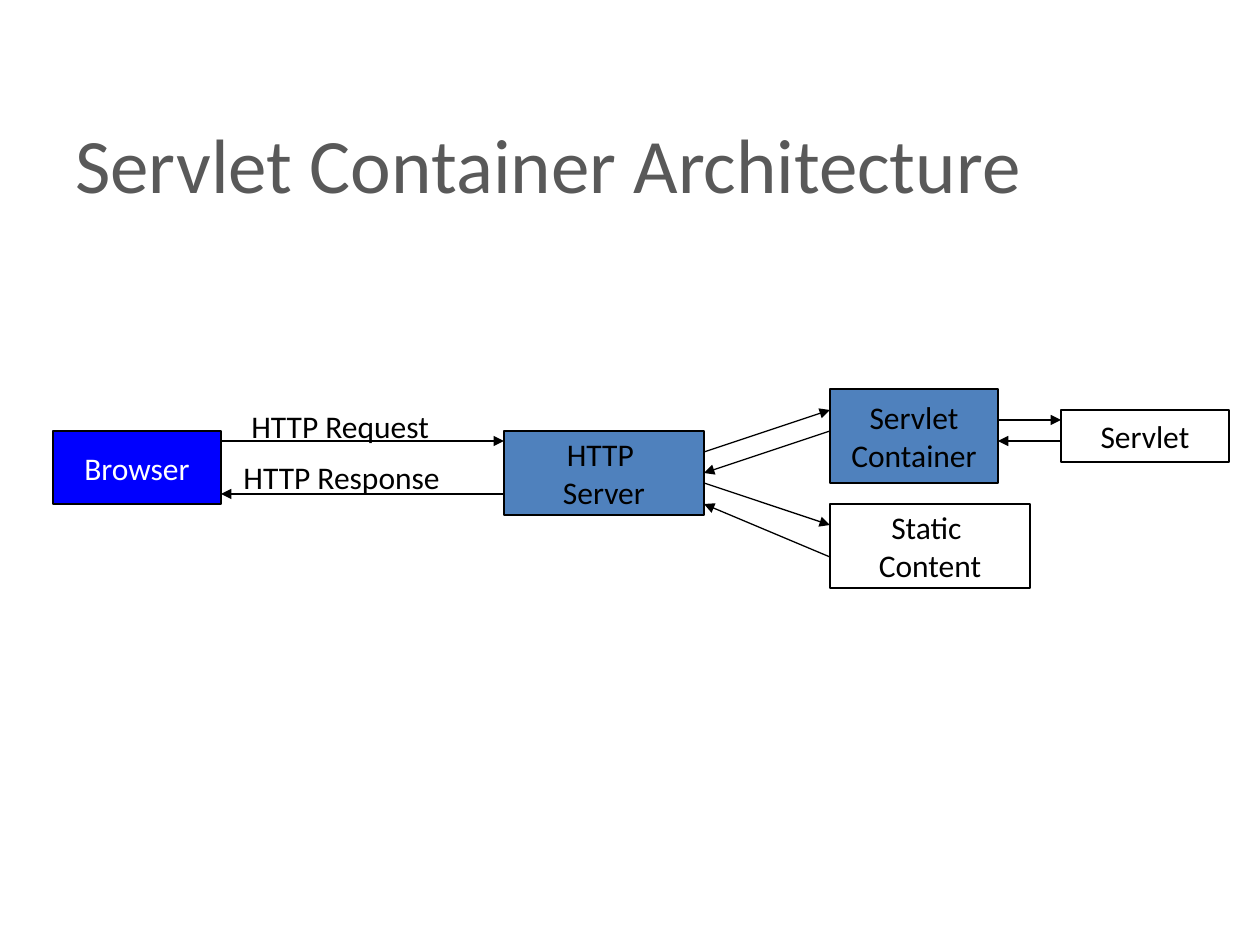
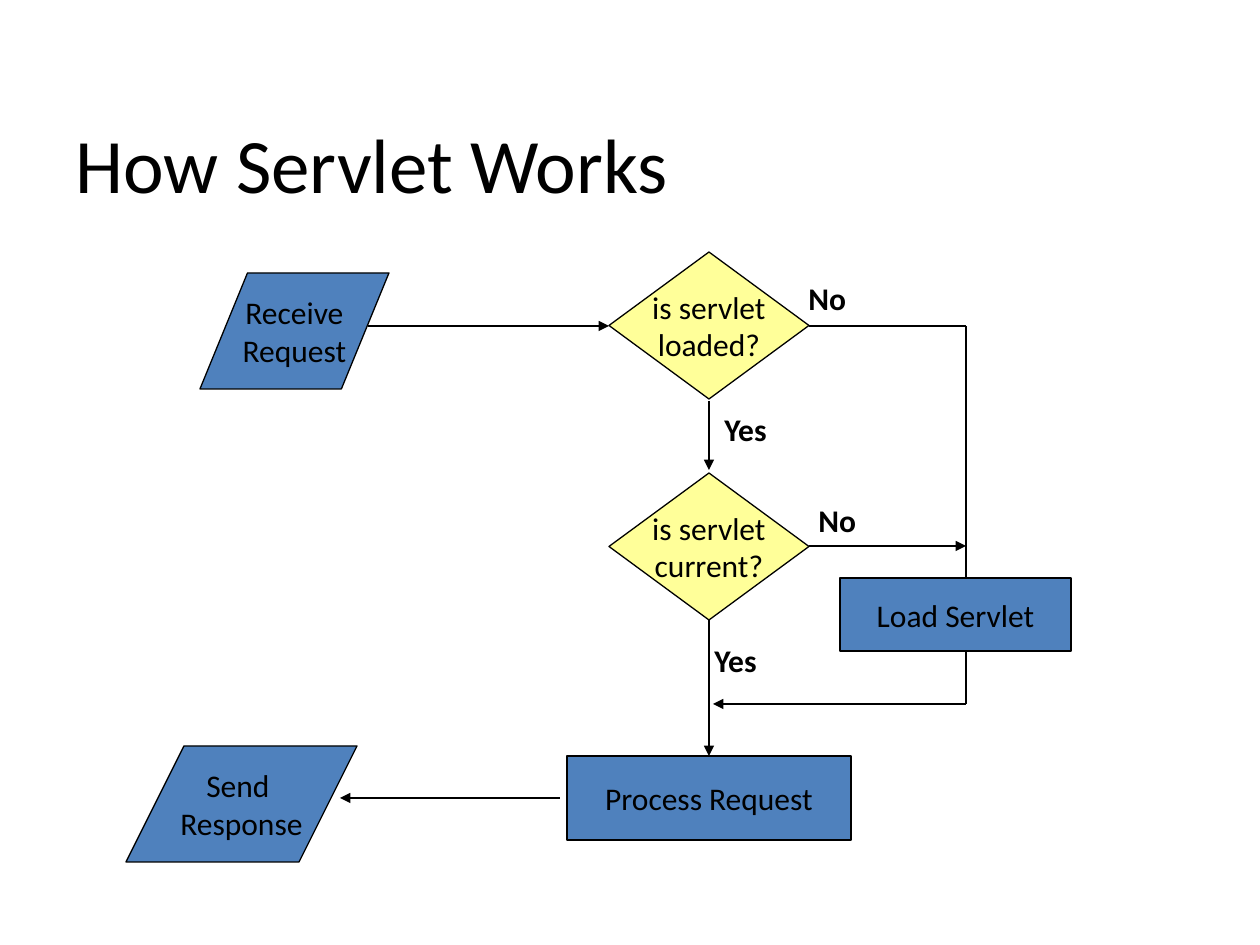
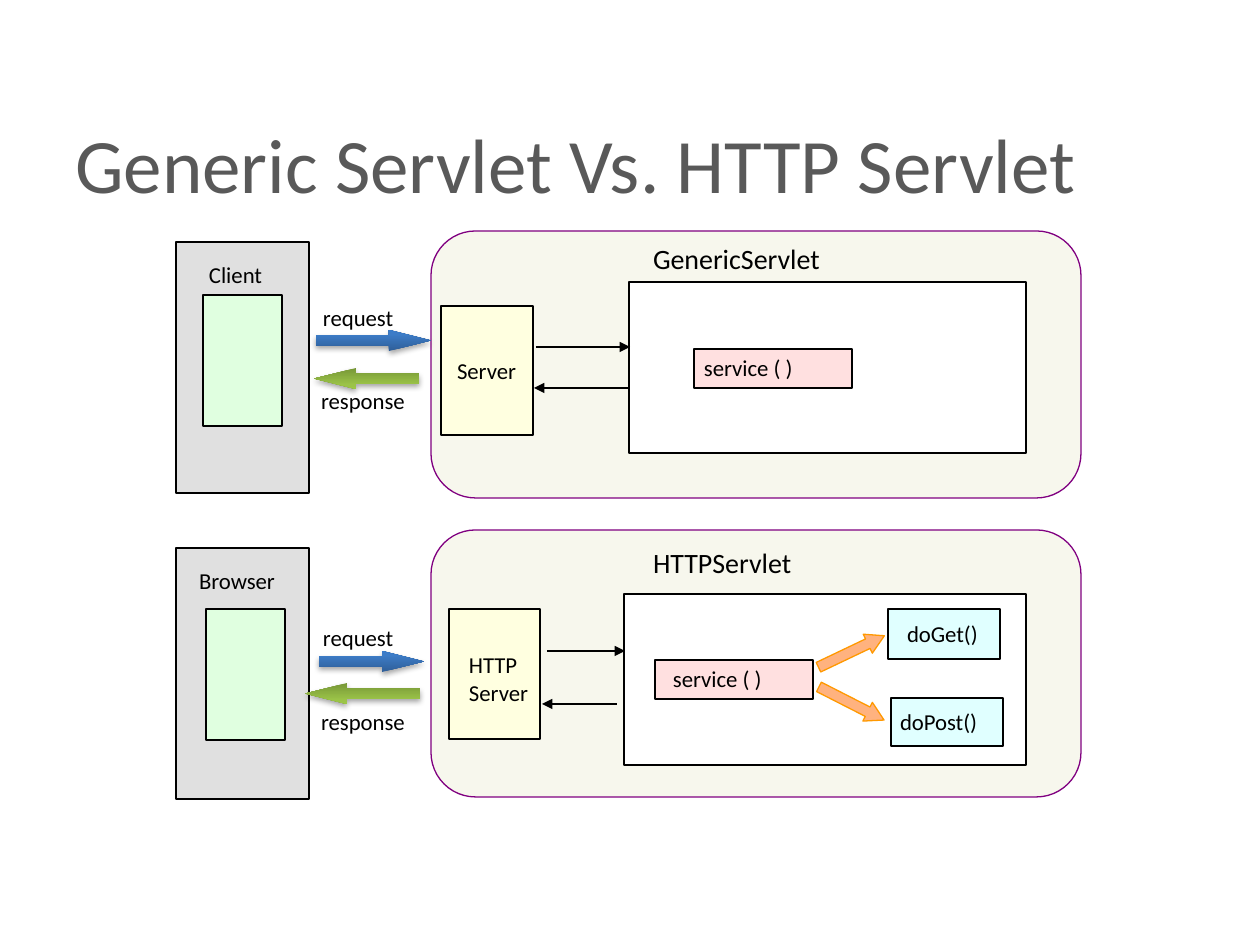
from lxml import etree
from pptx import Presentation
from pptx.dml.color import RGBColor
from pptx.enum.shapes import MSO_CONNECTOR, MSO_SHAPE
from pptx.enum.text import MSO_ANCHOR, PP_ALIGN
from pptx.oxml.ns import qn
from pptx.util import Emu, Pt

PX_PER_INCH = 126
SLIDE_WIDTH, SLIDE_HEIGHT = 1260, 945
FONT = "Calibri"

BLACK, WHITE, GREY = "000000", "FFFFFF", "595959"
BLUE, STEEL, YELLOW = "0000FF", "4F81BD", "FFFF99"
CREAM, PURPLE = "F7F7ED", "800080"
PANEL_GREY, PALE_YELLOW, PALE_GREEN = "E0E0E0", "FFFFE0", "E0FFE0"
PALE_RED, PALE_CYAN = "FFE0E0", "E0FFFF"
ORANGE, AMBER = "FF6600", "FF9900"
REQUEST_STOPS = [(0, "2F5F99"), (80, "3D7CC7"), (100, "3A7CCB")]
RESPONSE_STOPS = [(0, "779737"), (80, "9BC348"), (100, "9DC746")]

RECTANGLE = MSO_SHAPE.RECTANGLE
DIAMOND = MSO_SHAPE.DIAMOND
PARALLELOGRAM = MSO_SHAPE.PARALLELOGRAM
ROUNDED = MSO_SHAPE.FLOWCHART_ALTERNATE_PROCESS
RIGHT_ARROW = MSO_SHAPE.RIGHT_ARROW
STRAIGHT = MSO_CONNECTOR.STRAIGHT
LEFT, CENTER = PP_ALIGN.LEFT, PP_ALIGN.CENTER
TOP, MIDDLE = MSO_ANCHOR.TOP, MSO_ANCHOR.MIDDLE


def px(length):
    return Emu(round(length * 914400 / PX_PER_INCH))


def rgb(color):
    return RGBColor.from_string(color)


def write_text(shape, text, size=18, color=BLACK, bold=False, align=LEFT,
               anchor=TOP, wrap=False, inset=None):
    """Put one paragraph per line of text into the shape."""
    frame = shape.text_frame
    frame.word_wrap = wrap
    frame.vertical_anchor = anchor
    if inset is not None:
        frame.margin_left = frame.margin_right = px(inset)
        frame.margin_top = frame.margin_bottom = px(inset)
    for index, line in enumerate(text.split("\n")):
        paragraph = frame.paragraphs[0] if index == 0 else frame.add_paragraph()
        paragraph.alignment = align
        run = paragraph.add_run()
        run.text = line
        run.font.name = FONT
        run.font.size = Pt(size)
        run.font.bold = bold
        run.font.color.rgb = rgb(color)


def add_label(slide, text, left, top, width, height, **text_format):
    box = slide.shapes.add_textbox(px(left), px(top), px(width), px(height))
    write_text(box, text, **text_format)


def add_title(slide, text, color=GREY):
    add_label(slide, text, 63, 84, 1134, 158, size=44, color=color,
              anchor=MIDDLE, wrap=True)


def add_box(slide, kind, left, top, width, height, fill=None, line=BLACK,
            weight=0.75, text=None, text_color=BLACK, adjustments=()):
    shape = slide.shapes.add_shape(kind, px(left), px(top), px(width), px(height))
    shape.shadow.inherit = False
    for index, value in enumerate(adjustments):
        shape.adjustments[index] = value
    if fill:
        shape.fill.solid()
        shape.fill.fore_color.rgb = rgb(fill)
    else:
        shape.fill.background()
    if line:
        shape.line.color.rgb = rgb(line)
        shape.line.width = Pt(weight)
    else:
        shape.line.fill.background()
    if text:
        write_text(shape, text, color=text_color, align=CENTER, anchor=MIDDLE)
    return shape


def add_color(parent, color, alpha):
    """Append a colour element with an opacity in percent."""
    element = etree.SubElement(parent, qn("a:srgbClr"), val=color)
    etree.SubElement(element, qn("a:alpha"), val=str(alpha * 1000))


def add_message_arrow(slide, left, top, width, stops, rotation=0):
    """Add a thick arrow with a gradient and a soft shadow."""
    arrow = add_box(slide, RIGHT_ARROW, left, top, width, 21, line=None,
                    adjustments=(0.5, 2))
    arrow.rotation = rotation
    arrow.fill.gradient()
    arrow.fill.gradient_angle = 90
    properties = arrow._element.spPr
    stop_list = properties.find(qn("a:gradFill")).find(qn("a:gsLst"))
    for stop in list(stop_list):
        stop_list.remove(stop)
    for position, color in stops:
        stop = etree.SubElement(stop_list, qn("a:gs"), pos=str(position * 1000))
        etree.SubElement(stop, qn("a:srgbClr"), val=color)
    shadow = etree.SubElement(properties.find(qn("a:effectLst")), qn("a:outerShdw"),
                              blurRad="40000", dist="23000", dir="5400000",
                              rotWithShape="0")
    add_color(shadow, BLACK, 35)


def add_dispatch_arrow(slide, top, rotation):
    """Add a half-transparent arrow from service to a handler."""
    arrow = add_box(slide, RIGHT_ARROW, 815, top, 73, 21, fill=ORANGE, line=AMBER,
                    adjustments=(0.5, 0.875))
    arrow.rotation = rotation
    solid_fill = arrow._element.spPr.find(qn("a:solidFill"))
    solid_fill.remove(solid_fill[0])
    add_color(solid_fill, ORANGE, 50)


def add_line(slide, start_x, start_y, end_x, end_y, arrow=True):
    connector = slide.shapes.add_connector(STRAIGHT, px(start_x), px(start_y),
                                           px(end_x), px(end_y))
    connector.line.color.rgb = rgb(BLACK)
    connector.line.width = Pt(0.75)
    if arrow:
        etree.SubElement(connector.line._get_or_add_ln(), qn("a:tailEnd"),
                         type="triangle")
    etree.SubElement(connector._element.spPr, qn("a:effectLst"))


def draw_architecture(slide):
    add_title(slide, "Servlet Container Architecture")
    for text, left, top, width, height, fill, text_color in [
        ("Browser", 53, 431, 168, 73, BLUE, WHITE),
        ("HTTP \nServer", 504, 431, 200, 84, STEEL, BLACK),
        ("Static \nContent", 830, 504, 200, 84, None, BLACK),
        ("Servlet\nContainer", 830, 389, 168, 94, STEEL, BLACK),
        ("Servlet", 1061, 410, 168, 52, None, BLACK),
    ]:
        add_box(slide, RECTANGLE, left, top, width, height, fill, text=text,
                text_color=text_color)
    for points in [
        (221, 441, 504, 441), (504, 494, 221, 494),
        (704, 452, 830, 410), (830, 431, 704, 473),
        (704, 483, 830, 525), (830, 557, 704, 504),
        (998, 420, 1061, 420), (1061, 441, 998, 441),
    ]:
        add_line(slide, *points)
    add_label(slide, "HTTP Request", 239, 401, 233, 50)
    add_label(slide, "HTTP Response", 231, 452, 258, 50)


def draw_workflow(slide):
    add_title(slide, "How Servlet Works", BLACK)
    for text, kind, left, top, width, height, fill, adjustments in [
        ("Receive\nRequest", PARALLELOGRAM, 200, 273, 189, 116, STEEL, (0.41,)),
        ("is servlet\nloaded?", DIAMOND, 609, 252, 200, 147, YELLOW, ()),
        ("is servlet\ncurrent?", DIAMOND, 609, 473, 200, 147, YELLOW, ()),
        ("Send \nResponse", PARALLELOGRAM, 126, 746, 231, 116, STEEL, (0.5,)),
        ("Process Request", RECTANGLE, 567, 756, 284, 84, STEEL, ()),
        ("Load Servlet", RECTANGLE, 840, 578, 231, 73, STEEL, ()),
    ]:
        add_box(slide, kind, left, top, width, height, fill, text=text,
                adjustments=adjustments)
    for points in [
        (368, 326, 609, 326), (709, 401, 709, 470), (809, 546, 966, 546),
        (709, 620, 709, 756), (966, 704, 713, 704), (560, 798, 340, 798),
    ]:
        add_line(slide, *points)
    for points in [(809, 326, 966, 326), (966, 326, 966, 578), (966, 651, 966, 704)]:
        add_line(slide, *points, arrow=False)
    for text, left, top in [("Yes", 712, 404), ("Yes", 702, 635),
                            ("No", 796, 273), ("No", 806, 495)]:
        add_label(slide, text, left, top, 80, 50, bold=True)


def draw_comparison(slide):
    for top in (530, 231):
        add_box(slide, ROUNDED, 431, top, 650, 267, CREAM, PURPLE)
    add_title(slide, "Generic Servlet Vs. HTTP Servlet")
    for left, top, width, height, fill in [
        (176, 242, 133, 251, PANEL_GREY), (176, 548, 133, 251, PANEL_GREY),
        (203, 295, 79, 131, PALE_GREEN), (206, 609, 79, 131, PALE_GREEN),
        (441, 306, 92, 129, PALE_YELLOW), (449, 609, 91, 130, PALE_YELLOW),
        (629, 282, 397, 171, WHITE), (624, 594, 402, 171, WHITE),
        (694, 349, 158, 39, PALE_RED), (655, 660, 158, 39, PALE_RED),
        (888, 609, 112, 50, PALE_CYAN), (891, 698, 112, 48, PALE_CYAN),
    ]:
        add_box(slide, RECTANGLE, left, top, width, height, fill, weight=0.88)

    for text, left, top, width in [
        ("Client", 209, 261, 74), ("Browser", 199, 567, 94),
        ("request", 323, 304, 83), ("response", 321, 387, 94),
        ("request", 323, 624, 83), ("response", 321, 708, 94),
        ("Server", 457, 357, 70),
        ("service ( )", 704, 354, 100), ("service ( )", 673, 665, 100),
        ("doGet()", 907, 620, 93), ("doPost()", 900, 708, 93),
    ]:
        add_label(slide, text, left, top, width, 28, size=13, inset=0)
    add_label(slide, "HTTP Server", 469, 651, 84, 54, size=13, inset=0, wrap=True)
    for text, top in [("GenericServlet", 242), ("HTTPServlet", 546)]:
        add_label(slide, text, 653, top, 173, 34, size=16, inset=0)

    for left, top, width in [(316, 330, 115), (319, 651, 105)]:
        add_message_arrow(slide, left, top, width, REQUEST_STOPS)
    for left, top, width in [(314, 368, 105), (305, 683, 115)]:
        add_message_arrow(slide, left, top, width, RESPONSE_STOPS, rotation=180)
    add_dispatch_arrow(slide, 641, -25.5)
    add_dispatch_arrow(slide, 693, 27)
    for points in [(536, 347, 630, 347), (629, 388, 534, 388),
                   (547, 651, 625, 651), (617, 704, 542, 704)]:
        add_line(slide, *points)


def main():
    presentation = Presentation()
    presentation.slide_width = px(SLIDE_WIDTH)
    presentation.slide_height = px(SLIDE_HEIGHT)
    blank_layout = presentation.slide_layouts[6]
    for draw in (draw_architecture, draw_workflow, draw_comparison):
        draw(presentation.slides.add_slide(blank_layout))
    presentation.save("out.pptx")


if __name__ == "__main__":
    main()
